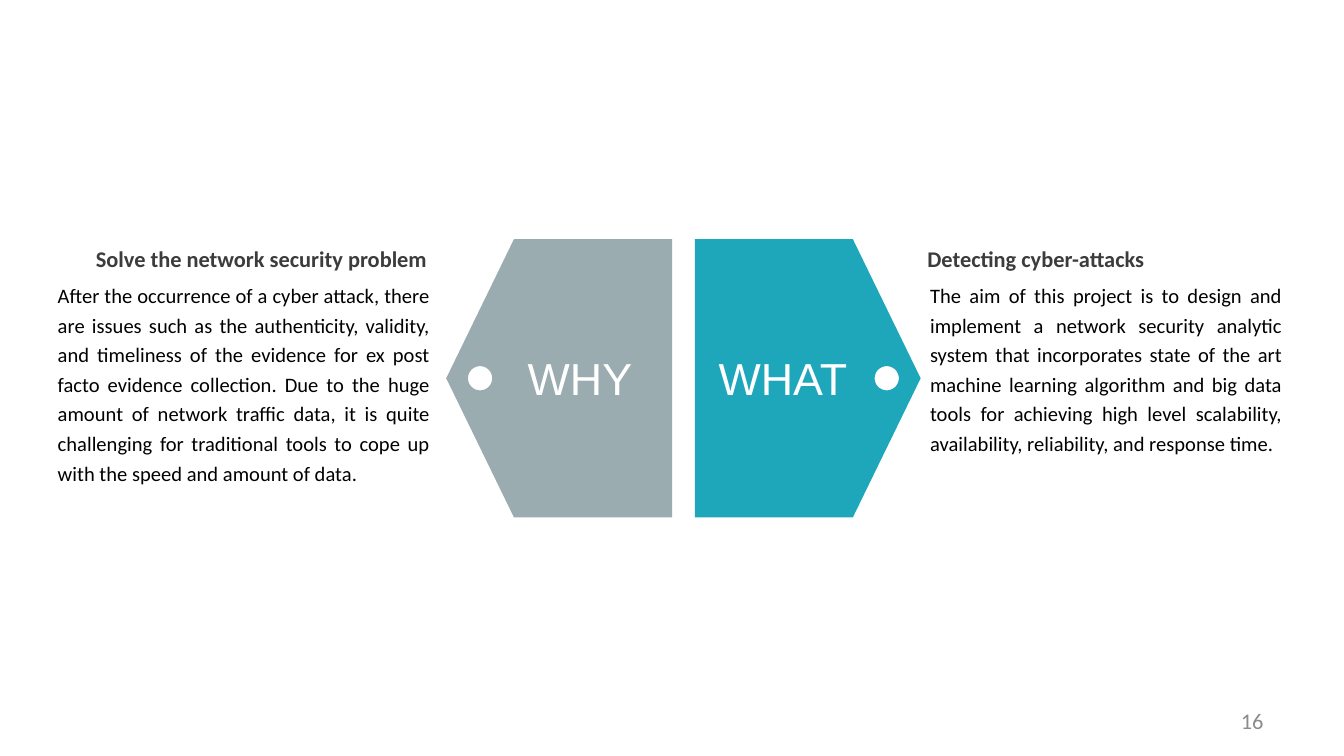
from math import cos, pi, sin

from pptx import Presentation
from pptx.dml.color import RGBColor
from pptx.enum.text import MSO_ANCHOR as ANCHOR, PP_ALIGN as ALIGN
from pptx.util import Inches, Pt

SLIDE_W = Inches(10)
SLIDE_H = SLIDE_W * 9 // 16
GREY = RGBColor(0x9A, 0xAC, 0xAF)
TEAL = RGBColor(0x1E, 0xA6, 0xBB)
BLACK = RGBColor(0, 0, 0)
DARK = RGBColor(0x3C, 0x3C, 0x3C)
PALE = RGBColor(0x8C, 0x8C, 0x8C)
WHITE = RGBColor(0xFF, 0xFF, 0xFF)

TAG_W, TAG_H, TAG_TOP = 1.68, 2.07, 1.78
SHOULDER, HOLE_X, HOLE_R = 0.7, 0.85, 0.09
HOLE_STEPS = 48
HEADING_SHIFT = -0.02

WHY_TEXT = (
    "After the occurrence of a cyber attack, there are issues such as the "
    "authenticity, validity, and timeliness of the evidence for ex post facto "
    "evidence collection. Due to the huge amount of network traffic data, it is "
    "quite challenging for traditional tools to cope up with the speed and "
    "amount of data."
)
WHAT_TEXT = (
    "The aim of this project is to design and implement a network security "
    "analytic system that incorporates state of the art machine learning "
    "algorithm and big data tools for achieving high level scalability, "
    "availability, reliability, and response time."
)


def add_text(shapes, box, text, size, color, align, font="Calibri", bold=False,
             wrap=True, spacing=None, insets=(0.08, 0), anchor=ANCHOR.TOP):
    """Add a one-paragraph text box in the given box of inches."""
    tf = shapes.add_textbox(*(Inches(v) for v in box)).text_frame
    tf.word_wrap = wrap
    tf.vertical_anchor = anchor
    tf.margin_left = tf.margin_right = Inches(insets[0])
    tf.margin_top = tf.margin_bottom = Inches(insets[1])
    p = tf.paragraphs[0]
    p.alignment = align
    if spacing:
        p.line_spacing = spacing
    r = p.add_run()
    r.text = text
    r.font.name, r.font.size, r.font.bold = font, Pt(size), bold
    r.font.color.rgb = color


def add_tag(shapes, box, side, color):
    """Draw a pointed tag with a round hole; side is -1 for left, 1 for right."""
    left, top, width, height = (Inches(v) for v in box)
    base = left if side > 0 else left + width
    middle = top + height / 2
    radius = Inches(HOLE_R)

    def across(share):
        return base + side * share * width

    outline = [(across(SHOULDER), top), (across(1), middle),
               (across(SHOULDER), top + height), (base, top + height)]
    angles = [-side * 2 * pi * i / HOLE_STEPS for i in range(HOLE_STEPS)]
    hole = [(across(HOLE_X) + radius * cos(a), middle + radius * sin(a))
            for a in angles]
    builder = shapes.build_freeform(base, top)
    builder.add_line_segments(outline, close=True)
    builder.move_to(*hole[0])
    builder.add_line_segments(hole[1:], close=True)
    sp = builder.convert_to_shape()
    sp.shadow.inherit = False
    sp.fill.solid()
    sp.fill.fore_color.rgb = color
    sp.line.fill.background()


def add_panel(slide, box, side, color, label, heading, body, gap):
    """Place a labelled tag at the inner end of the box and its text outside."""
    left, top, width, height = box
    shapes = slide.shapes.add_group_shape().shapes
    tag_left = left if side > 0 else left + width - TAG_W
    text_left = left + TAG_W + gap if side > 0 else left
    text_w = width - TAG_W - gap
    add_tag(shapes, (tag_left, top, TAG_W, height), side, color)
    add_text(shapes, (text_left, top + 0.14 * height, text_w, 0.86 * height),
             body, 11, BLACK, ALIGN.JUSTIFY, spacing=1.2)
    add_text(shapes, (text_left + HEADING_SHIFT, top + 0.02 * height,
                      text_w, 0.1 * height),
             heading, 12, DARK, ALIGN.LEFT if side > 0 else ALIGN.RIGHT,
             bold=True, wrap=False)
    label_left = tag_left + (-0.07 if side > 0 else 0.27)
    add_text(shapes, (label_left, top + 0.78, 1.45, 0.5), label, 24, WHITE,
             ALIGN.CENTER, font="Arial", insets=(0.1, 0.05))


def add_page_number(slide, box, number):
    """Add the page number at the right of the box."""
    add_text(slide.shapes, box, number, 12, PALE, ALIGN.RIGHT,
             insets=(0.1, 0.05), anchor=ANCHOR.MIDDLE)


def main():
    """Build and save the slide."""
    prs = Presentation()
    prs.slide_width, prs.slide_height = SLIDE_W, SLIDE_H
    slide = prs.slides.add_slide(prs.slide_layouts[6])
    add_panel(slide, (0.35, TAG_TOP, 4.65, TAG_H), -1, GREY, "WHY",
              "Solve the network security problem", WHY_TEXT, 0.04)
    add_panel(slide, (5.17, TAG_TOP, 4.45, TAG_H), 1, TEAL, "WHAT",
              "Detecting cyber-attacks", WHAT_TEXT, -0.01)
    add_page_number(slide, (7.17, 5.21, 2.33, 0.3), "16")
    prs.save("out.pptx")


if __name__ == "__main__":
    main()
